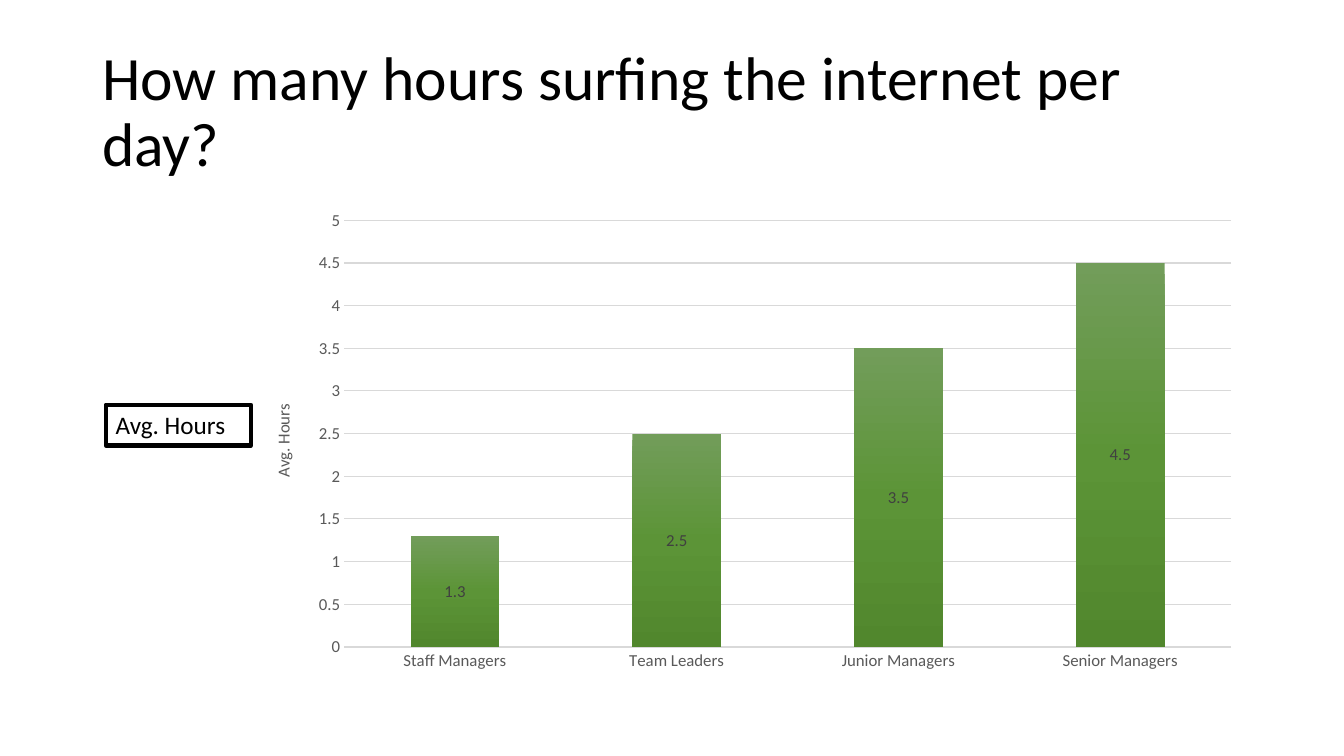
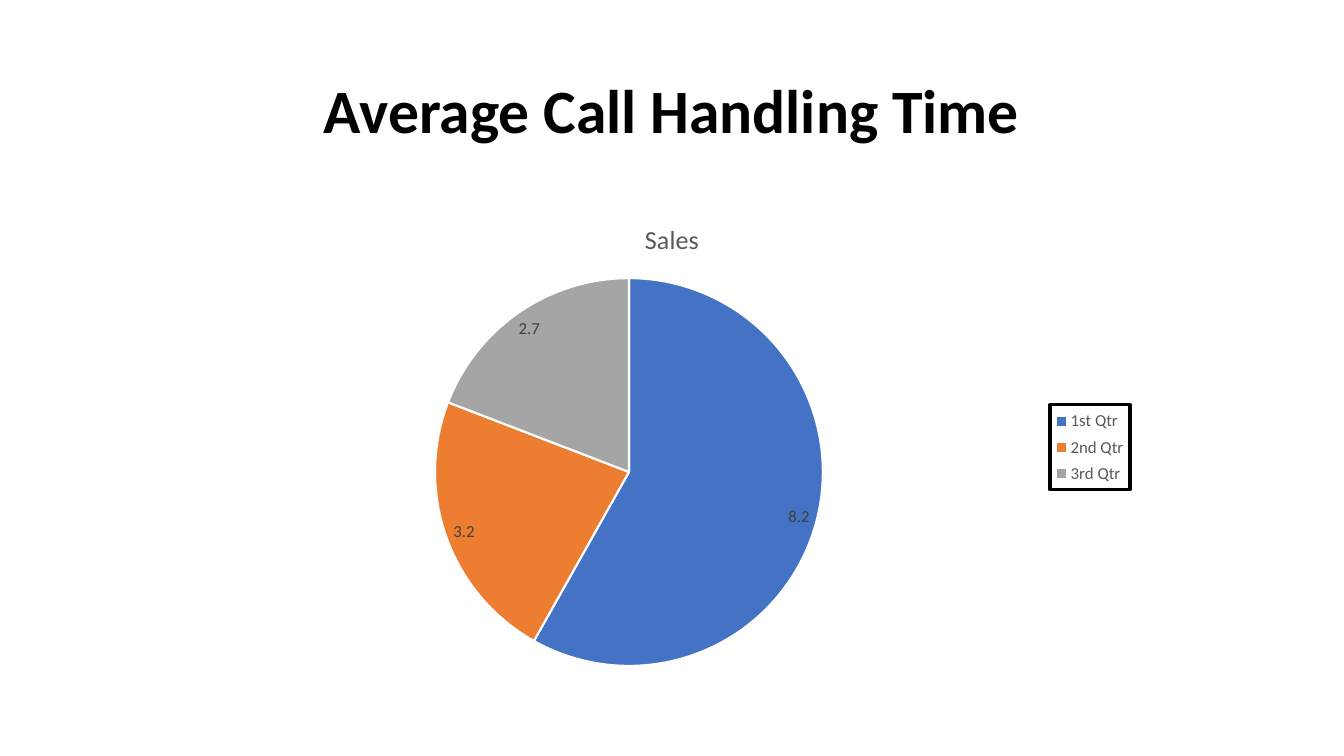
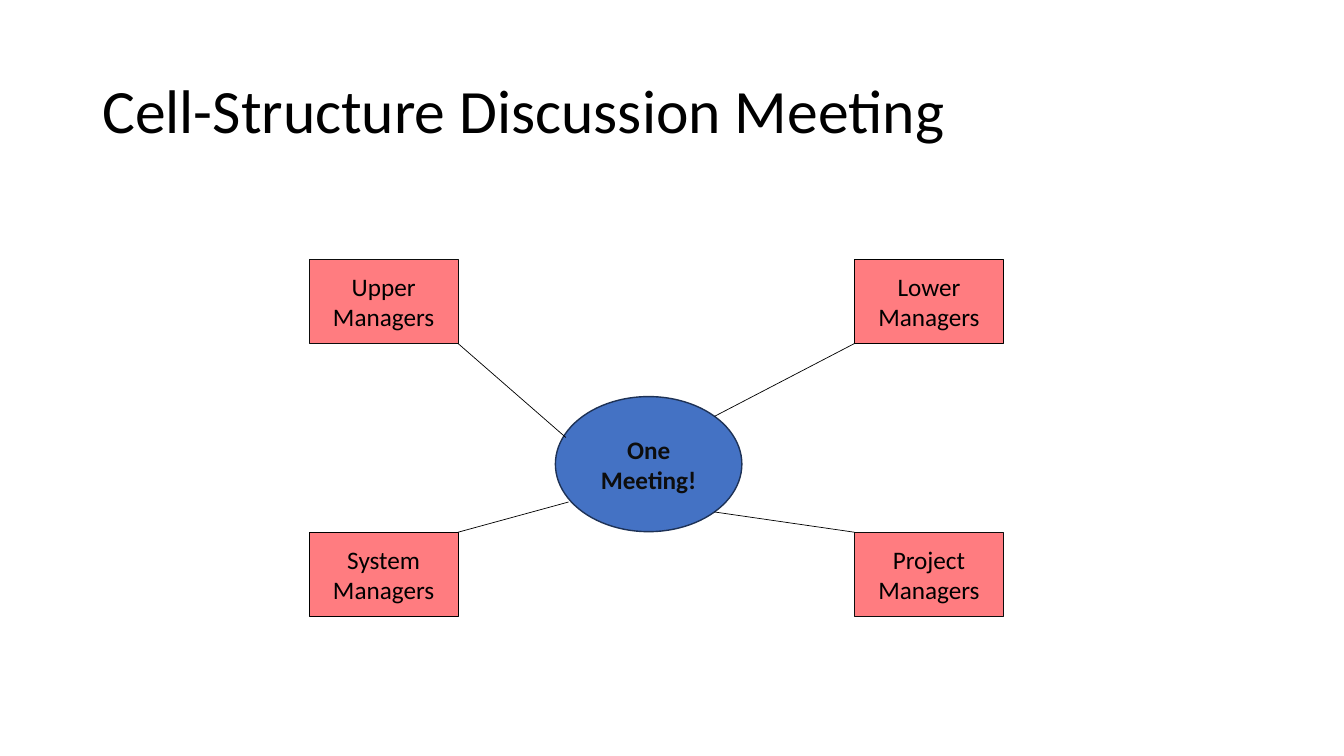
from typing import NamedTuple, Optional

from pptx import Presentation
from pptx.chart.data import CategoryChartData as ChartData
from pptx.dml.color import RGBColor as RGB
from pptx.enum.chart import XL_CHART_TYPE as Kind
from pptx.enum.chart import XL_LABEL_POSITION as LabelPos
from pptx.enum.chart import XL_LEGEND_POSITION as LegendPos
from pptx.enum.chart import XL_TICK_MARK as Tick
from pptx.enum.shapes import MSO_CONNECTOR as Link
from pptx.enum.shapes import MSO_SHAPE as Preset
from pptx.enum.text import MSO_ANCHOR as Anchor
from pptx.enum.text import PP_ALIGN as Align
from pptx.oxml import parse_xml
from pptx.oxml.ns import nsdecls, qn
from pptx.util import Pt

FONT = "Calibri"
BLACK = RGB(0x00, 0x00, 0x00)
WHITE = RGB(0xFF, 0xFF, 0xFF)
INK = RGB(0x0D, 0x0D, 0x0D)
GRAY = RGB(0x59, 0x59, 0x59)
DARK = RGB(0x40, 0x40, 0x40)
RULE = RGB(0xD9, 0xD9, 0xD9)
BLUE = RGB(0x44, 0x72, 0xC4)
NAVY = RGB(0x1E, 0x32, 0x56)
ORANGE = RGB(0xED, 0x7D, 0x31)
SILVER = RGB(0xA5, 0xA5, 0xA5)
PINK = RGB(0xFF, 0x7C, 0x80)
GREENS = (
    (RGB(0x72, 0x9D, 0x5A), RGB(0x5C, 0x94, 0x37), RGB(0x51, 0x87, 0x2D)),
    (RGB(0x81, 0xB8, 0x61), RGB(0x6F, 0xB2, 0x42), RGB(0x62, 0xA3, 0x36)),
    (RGB(0xBD, 0xD5, 0xB3), RGB(0xB3, 0xD1, 0xA6), RGB(0x9E, 0xBC, 0x91)),
)


class Box(NamedTuple):
    x: float
    y: float
    w: float
    h: float


class Team(NamedTuple):
    text: str
    col: int
    row: int
    line: RGB
    end: tuple[float, float]


TITLE = Box(66, 28.8, 828, 104.4)
BARS = Box(179.3, 144, 714.2, 342.7)
PIE = Box(66, 144, 828, 342.7)
HUB = Box(396.7, 283.3, 133.2, 96.5)
TEAM_W, TEAM_H = 106.1, 60.1
TEAM_X = (221, 610.5)
TEAM_Y = (185.2, 380.2)
TEAMS = (
    Team("Upper Managers", 0, 0, INK, (404.2, 312.5)),
    Team("Project Managers", 1, 1, INK, (510.4, 365.7)),
    Team("System Managers", 0, 1, BLACK, (406.1, 358.6)),
    Team("Lower Managers", 1, 0, BLACK, (510.4, 297.4)),
)


def points(box: Box) -> list:
    return [Pt(side) for side in box]


def style(font, size: float, color: RGB, bold: bool = False) -> None:
    font.name, font.size, font.bold = FONT, Pt(size), bold
    font.color.rgb = color


def outline(line, color: RGB, width: float) -> None:
    line.color.rgb = color
    line.width = Pt(width)


def add_slide(deck, title: str, align: Align = Align.LEFT, bold: bool = False):
    slide = deck.slides.add_slide(deck.slide_layouts[6])
    frame = slide.shapes.add_textbox(*points(TITLE)).text_frame
    frame.word_wrap = True
    frame.vertical_anchor = Anchor.MIDDLE
    frame.text = title
    para = frame.paragraphs[0]
    para.alignment, para.line_spacing = align, 0.9
    style(para.runs[0].font, 44, BLACK, bold)
    return slide


def add_node(slide, preset: Preset, box: Box, text: str, fill: RGB,
             line: RGB, width: float, color: RGB, bold: bool = False) -> None:
    node = slide.shapes.add_shape(preset, *points(box))
    node.shadow.inherit = False
    node.fill.solid()
    node.fill.fore_color.rgb = fill
    outline(node.line, line, width)
    frame = node.text_frame
    frame.word_wrap = True
    frame.vertical_anchor = Anchor.MIDDLE
    frame.text = text
    para = frame.paragraphs[0]
    para.alignment = Align.CENTER
    style(para.runs[0].font, 18, color, bold)


def add_line(slide, start: tuple[float, float], end: tuple[float, float]) -> None:
    line = slide.shapes.add_connector(
        Link.STRAIGHT, *(Pt(n) for n in (*start, *end)))
    outline(line.line, BLACK, 0.5)
    line._element.spPr.append(parse_xml(f"<a:effectLst {nsdecls('a')}/>"))


def layout(part: Box, whole: Box, inner: bool = False):
    """Manual layout that puts a chart part at a place on the slide."""
    shares = ((part.x - whole.x) / whole.w, (part.y - whole.y) / whole.h,
              part.w / whole.w, part.h / whole.h)
    target = '<c:layoutTarget val="inner"/>' if inner else ""
    modes = "".join(f'<c:{k}Mode val="edge"/>' for k in "xy")
    sides = "".join(f'<c:{k} val="{v:.5f}"/>' for k, v in zip("xywh", shares))
    return parse_xml(f"<c:layout {nsdecls('c')}><c:manualLayout>{target}{modes}"
                     f"{sides}</c:manualLayout></c:layout>")


def drop_layout(parent) -> None:
    for old in parent.findall(qn("c:layout")):
        parent.remove(old)


def add_chart(slide, kind: Kind, box: Box, plot: Box, cats: tuple[str, ...],
              rows: dict[str, tuple[Optional[float], ...]], pos: LabelPos):
    data = ChartData()
    data.categories = cats
    for name, values in rows.items():
        data.add_series(name, values)
    chart = slide.shapes.add_chart(kind, *points(box), data).chart
    style(chart.font, 10, BLACK)
    area = chart._chartSpace.chart.plotArea
    drop_layout(area)
    area.insert(0, layout(plot, box, inner=True))
    chart.has_title = chart.has_legend = False
    for series in chart.plots[0].series:
        labels = series.data_labels
        labels.show_value = True
        labels.position = pos
        style(labels.font, 12, DARK)
    return chart


def shade(fmt, colors: tuple[RGB, ...]) -> None:
    """Fill a series with an even vertical gradient."""
    step = 100000 // (len(colors) - 1)
    stops = "".join(f'<a:gs pos="{i * step}"><a:srgbClr val="{color}"/></a:gs>'
                    for i, color in enumerate(colors))
    fmt.fill.solid()
    solid = fmt._element.spPr.find(qn("a:solidFill"))
    solid.getparent().replace(solid, parse_xml(
        f"<a:gradFill {nsdecls('a')}><a:gsLst>{stops}</a:gsLst>"
        '<a:lin ang="5400000" scaled="0"/></a:gradFill>'))


def set_title(title, text: str, size: float) -> None:
    title.text_frame.text = text
    style(title.text_frame.paragraphs[0].runs[0].font, size, GRAY)


def frame_legend(legend, part: Box, whole: Box) -> None:
    root = legend._element
    drop_layout(root)
    overlay = root.find(qn("c:overlay"))
    overlay.addprevious(layout(part, whole))
    overlay.addnext(parse_xml(
        f"<c:spPr {nsdecls('c', 'a')}><a:noFill/><a:ln w=\"{Pt(2.25)}\">"
        f'<a:solidFill><a:srgbClr val="{BLACK}"/></a:solidFill><a:round/>'
        "</a:ln></c:spPr>"))


def hours(deck) -> None:
    slide = add_slide(deck, "How many hours surfing the internet per day?")
    cats = ("Staff Managers", "Team Leaders", "Junior Managers",
            "Senior Managers")
    blank = (None,) * len(cats)
    chart = add_chart(
        slide, Kind.COLUMN_STACKED, BARS, Box(245.8, 157.4, 633.6, 304.8), cats,
        {"Series 1": (1.3, 2.5, 3.5, 4.5), "Series 2": blank,
         "Series 3": blank}, LabelPos.CENTER)
    plot = chart.plots[0]
    plot.vary_by_categories = False
    plot.gap_width, plot.overlap = 150, 100
    for series, colors in zip(plot.series, GREENS):
        shade(series.format, colors)
    cat, val = chart.category_axis, chart.value_axis
    for axis in (cat, val):
        axis.major_tick_mark = axis.minor_tick_mark = Tick.NONE
        style(axis.tick_labels.font, 12, GRAY)
    outline(cat.format.line, RULE, 1)
    val.format.line.fill.background()
    val.minimum_scale, val.maximum_scale, val.major_unit = 0, 5, 0.5
    outline(val.major_gridlines.format.line, RULE, 0.75)
    set_title(val.axis_title, "Avg. Hours", 12)
    tag = slide.shapes.add_textbox(*points(Box(75.6, 289.1, 103.7, 29.1)))
    outline(tag.line, BLACK, 3)
    tag.text_frame.word_wrap = True
    tag.text_frame.text = "Avg. Hours"
    style(tag.text_frame.paragraphs[0].runs[0].font, 18, BLACK)


def calls(deck) -> None:
    slide = add_slide(deck, "Average Call Handling Time", Align.CENTER, True)
    chart = add_chart(
        slide, Kind.PIE, PIE, Box(310.8, 198.7, 277, 277),
        ("1st Qtr", "2nd Qtr", "3rd Qtr"), {"Sales": (8.2, 3.2, 2.7)},
        LabelPos.BEST_FIT)
    chart.has_title = True
    set_title(chart.chart_title, "Sales", 18.6)
    series = chart.plots[0].series[0]
    for at, color in enumerate((BLUE, ORANGE, SILVER)):
        fmt = series.points[at].format
        fmt.fill.solid()
        fmt.fill.fore_color.rgb = color
        outline(fmt.line, WHITE, 1.5)
    chart.has_legend = True
    legend = chart.legend
    legend.position = LegendPos.RIGHT
    legend.include_in_layout = False
    style(legend.font, 12, GRAY)
    frame_legend(legend, Box(750, 289.2, 57.2, 60.7), PIE)


def meeting(deck) -> None:
    slide = add_slide(deck, "Cell-Structure Discussion Meeting")
    add_node(slide, Preset.OVAL, HUB, "One Meeting!", BLUE, NAVY, 1, INK, True)
    for team in TEAMS:
        box = Box(TEAM_X[team.col], TEAM_Y[team.row], TEAM_W, TEAM_H)
        add_node(slide, Preset.RECTANGLE, box, team.text, PINK, team.line, 0.5,
                 BLACK)
    for team in TEAMS:
        corner = (TEAM_X[team.col] + TEAM_W * (1 - team.col),
                  TEAM_Y[team.row] + TEAM_H * (1 - team.row))
        add_line(slide, team.end, corner)


def main() -> None:
    deck = Presentation()
    deck.slide_width, deck.slide_height = Pt(960), Pt(540)
    for build in (hours, calls, meeting):
        build(deck)
    deck.save("out.pptx")


if __name__ == "__main__":
    main()
